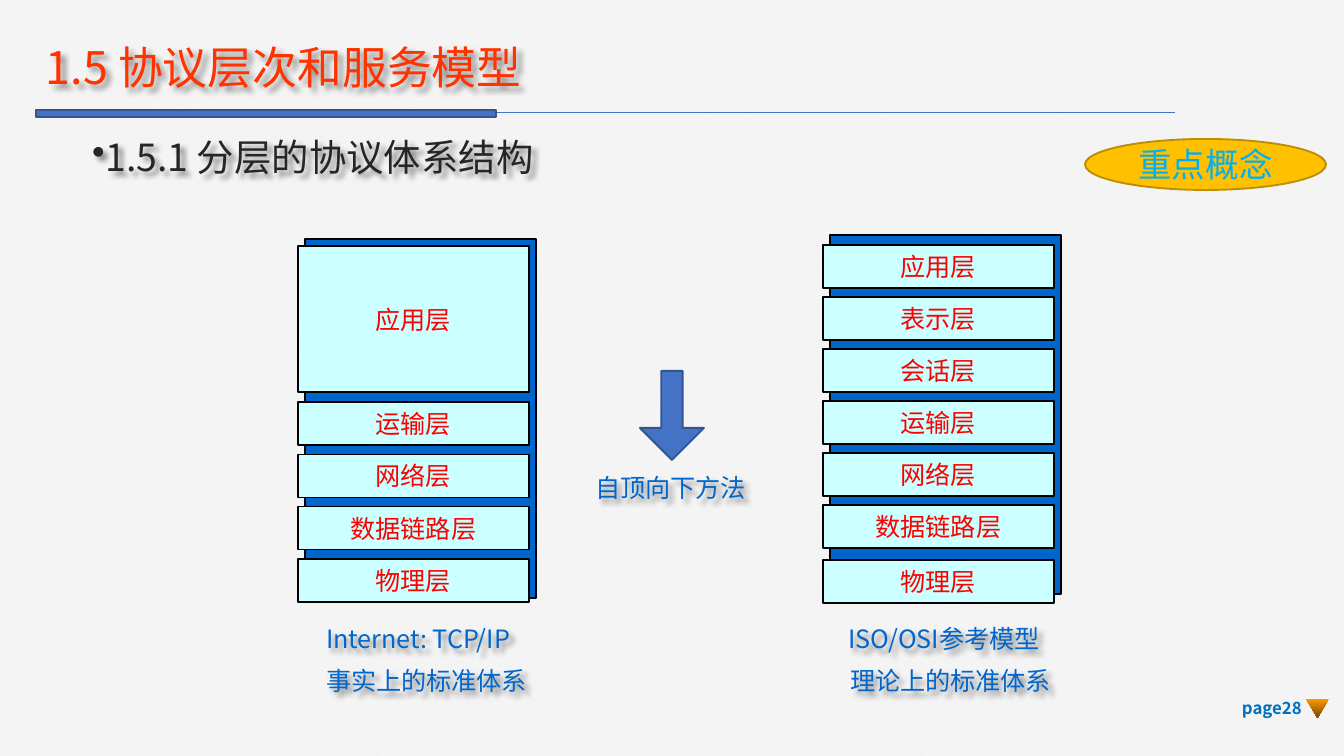
"""Build the slide on layered protocol architecture."""
import pptx
import pptx.dml.color
import pptx.enum.dml
import pptx.enum.shapes
import pptx.enum.text
import pptx.oxml
import pptx.oxml.ns
import pptx.util

RGB = pptx.dml.color.RGBColor
SHAPE = pptx.enum.shapes.MSO_SHAPE
ALIGN = pptx.enum.text.PP_ALIGN
ANCHOR = pptx.enum.text.MSO_ANCHOR

WHITE = RGB(0xFF, 0xFF, 0xFF)
PAPER = RGB(0xF2, 0xF2, 0xF2)
BLACK = RGB(0x00, 0x00, 0x00)
INK = RGB(0x26, 0x26, 0x26)
TITLE = RGB(0xFF, 0x33, 0x00)
ACCENT = RGB(0x44, 0x72, 0xC4)
ACCENT_EDGE = RGB(0x32, 0x54, 0x91)
BLUE = RGB(0x00, 0x66, 0xCC)
LAYER = RGB(0xCC, 0xFF, 0xFF)
RED = RGB(0xFF, 0x00, 0x00)
PAGE = RGB(0x00, 0x70, 0xC0)
SKY = RGB(0x00, 0xB0, 0xF0)
GOLD = RGB(0xFF, 0xC0, 0x00)
GOLD_EDGE = RGB(0xBD, 0x8E, 0x00)
ORANGE = RGB(0xFF, 0x99, 0x00)
BROWN = RGB(0x76, 0x47, 0x00)

FONT = "Noto Sans CJK SC"
A = 'xmlns:a="http://schemas.openxmlformats.org/drawingml/2006/main"'
SHADOW = (f'<a:effectLst {A}><a:outerShdw blurRad="38100" dist="38100" dir="2700000" algn="tl">'
          '<a:srgbClr val="000000"><a:alpha val="43000"/></a:srgbClr></a:outerShdw></a:effectLst>')


def px(n):
    """Turn pixels into EMU."""
    return pptx.util.Emu(round(n * 914400 / 134.4))


def add_shape(s, kind, box, fill, line=None, weight=1):
    """Add a flat preset shape."""
    sp = s.shapes.add_shape(kind, *map(px, box))
    sp.shadow.inherit = False
    sp.fill.solid()
    sp.fill.fore_color.rgb = fill
    if line is None:
        sp.line.fill.background()
    else:
        sp.line.color.rgb = line
        sp.line.width = pptx.util.Pt(weight)
    return sp


def set_text(sp, text, size, color, align=ALIGN.LEFT, anchor=ANCHOR.MIDDLE, wrap=False, bold=False):
    """Write one paragraph of one run and return the paragraph."""
    tf = sp.text_frame
    tf.word_wrap = wrap
    tf.vertical_anchor = anchor
    p = tf.paragraphs[0]
    p.alignment = align
    r = p.add_run()
    r.text = text
    r.font.size = pptx.util.Pt(size)
    r.font.bold = bold
    r.font.color.rgb = color
    r.font.name = FONT
    r.font._element.append(pptx.oxml.parse_xml(f'<a:ea {A} typeface="{FONT}"/>'))
    return p


def add_label(s, box, text, size, color, **style):
    """Add a text box whose text casts a soft shadow."""
    sp = s.shapes.add_textbox(*map(px, box))
    sp._element.spPr.append(pptx.oxml.parse_xml(SHADOW))
    return sp, set_text(sp, text, size, color, **style)


def header(s, x, y):
    """Place the title above its rule and thick bar."""
    rule = s.shapes.add_connector(pptx.enum.shapes.MSO_CONNECTOR.STRAIGHT,
                                  px(x + 1139), px(y + 73), px(x), px(y + 73))
    rule.line.color.rgb = ACCENT
    rule.line.width = pptx.util.Pt(0.5)
    rule._element.spPr.append(pptx.oxml.parse_xml(f'<a:effectLst {A}/>'))
    add_shape(s, SHAPE.RECTANGLE, (x, y + 70, 460, 7), ACCENT, ACCENT_EDGE)
    sp, p = add_label(s, (x, y, 573, 59), "1.5 协议层次和服务模型", 24, TITLE, wrap=True)
    p.line_spacing = 0.9
    tf = sp.text_frame
    tf.margin_left = tf.margin_right = px(10)
    tf.margin_top = tf.margin_bottom = px(5)


def heading(s, x, y):
    """Place the bulleted section heading."""
    sp, p = add_label(s, (x, y, 470, 59), "1.5.1 分层的协议体系结构", 20, INK,
                      anchor=ANCHOR.TOP, wrap=True)
    p._p.get_or_add_pPr().append(pptx.oxml.parse_xml(f'<a:buChar {A} char="•"/>'))
    p.line_spacing = 0.85


def layer_stack(s, x, y, backing_y, layers):
    """Place a dark backing and the layers, each a name, a top and a height."""
    add_shape(s, SHAPE.RECTANGLE, (x + 7, backing_y, 231, 359), BLUE, BLACK, 0.75)
    for name, top, height in layers:
        sp = add_shape(s, SHAPE.RECTANGLE, (x, y + top, 231, height), LAYER, BLACK, 0.75)
        set_text(sp, name, 13.5, RED, align=ALIGN.CENTER)


def caption(s, x, y, w, text):
    """Place a blue one-line caption."""
    add_label(s, (x, y, w, 44), text, 13.5, BLUE, anchor=ANCHOR.TOP)


def approach(s, x, y):
    """Place the down arrow over its caption."""
    sp = add_shape(s, SHAPE.DOWN_ARROW, (x + 58, y, 64, 89), ACCENT, ACCENT_EDGE)
    sp.adjustments[0] = 0.335
    sp.adjustments[1] = 0.5
    caption(s, x, y + 95, 180, "自顶向下方法")


def badge(s, x, y):
    """Place the key-concept ellipse."""
    sp = add_shape(s, SHAPE.OVAL, (x, y, 241, 51), GOLD, GOLD_EDGE)
    set_text(sp, "重点概念", 18, SKY, align=ALIGN.CENTER)


def page_mark(s, x, y):
    """Place the page number and its triangle."""
    sp = s.shapes.add_textbox(*map(px, (x, y, 93, 40)))
    set_text(sp, "page28", 9, PAGE, align=ALIGN.RIGHT, bold=True)
    sp = add_shape(s, SHAPE.FLOWCHART_MERGE, (x + 84, y + 11, 23, 19), ORANGE)
    sp.fill.gradient()
    sp.fill.gradient_angle = 270
    for stop, color, position in zip(sp.fill.gradient_stops, (ORANGE, BROWN), (0, 1)):
        stop.color.rgb = color
        stop.position = position


def main():
    """Build and save the slide."""
    prs = pptx.Presentation()
    prs.slide_width, prs.slide_height = px(1344), px(756)
    s = prs.slides.add_slide(prs.slide_layouts[6])
    bg = s.background.fill
    bg.patterned()
    bg.pattern = pptx.enum.dml.MSO_PATTERN.DARK_DOWNWARD_DIAGONAL
    bg.fore_color.rgb = WHITE
    bg.back_color.rgb = PAPER

    header(s, 36, 40)
    osi = ["应用层", "表示层", "会话层", "运输层", "网络层", "数据链路层"]
    layer_stack(s, 823, 245, 235,
                [(name, 52 * i, 43) for i, name in enumerate(osi)] + [("物理层", 315, 43)])
    lower = ["运输层", "网络层", "数据链路层", "物理层"]
    layer_stack(s, 298, 246, 239,
                [("应用层", 0, 146)] + [(name, 156 + 52.3 * i, 43) for i, name in enumerate(lower)])
    caption(s, 313, 617, 216, "Internet: TCP/IP")
    caption(s, 835, 617, 226, "ISO/OSI参考模型")
    approach(s, 582, 371)
    caption(s, 313, 659, 231, "事实上的标准体系")
    caption(s, 837, 659, 231, "理论上的标准体系")
    heading(s, 79, 134)
    page_mark(s, 1222, 688)
    badge(s, 1085, 139)
    prs.save("out.pptx")


if __name__ == "__main__":
    main()
